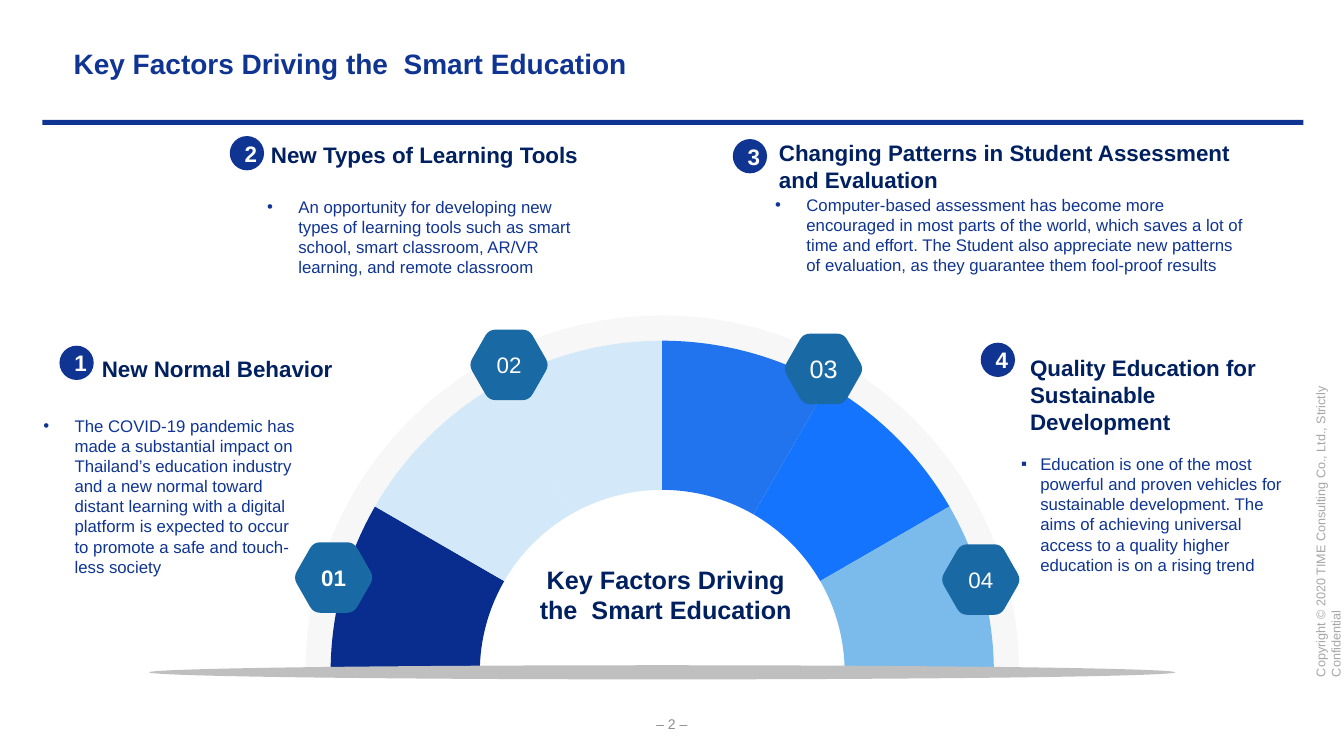
import math
from dataclasses import dataclass

import pptx
import pptx.dml.color
import pptx.enum.shapes
import pptx.enum.text
import pptx.oxml
import pptx.oxml.ns
import pptx.util
from pptx.util import Inches

Box = tuple[float, float, float, float]
Point = tuple[float, float]
Segment = list[Point]  # one point for a line, three for a curve
ALIGN = pptx.enum.text.PP_ALIGN
ANCHOR = pptx.enum.text.MSO_ANCHOR
FIT = pptx.enum.text.MSO_AUTO_SIZE
PRESET = pptx.enum.shapes.MSO_SHAPE
NAMESPACE = pptx.oxml.ns.nsdecls("a")


@dataclass(frozen=True)
class Theme:
    font: str = "Arial"
    blue: str = "0F3492"
    navy: str = "002060"
    marker: str = "1969A5"
    white: str = "FFFFFF"
    track: str = "D9D9D9"
    ground: str = "BFBFBF"
    page: str = "8C8C8C"
    copyright: str = "A6A6A6"
    sectors: tuple[str, ...] = ("082D8E", "D3E8F8", "D3E8F8", "2174EE", "1574FD", "7ABBEB")
    title_size: int = 20
    center_size: int = 18
    heading_size: int = 16
    body_size: int = 12
    page_size: int = 10
    copyright_size: int = 9


@dataclass(frozen=True)
class Factor:
    number: int
    badge: Point
    heading: str
    heading_box: Box
    body: str
    body_box: Box
    marker: Point
    beside_arch: bool = False
    bullet: str = "•"
    indent: float = 0.31
    marker_size: int = 16
    marker_bold: bool = False


THEME = Theme()
ARCH_CENTER: Point = (6.57, 6.67)
BADGE_SIZE = 0.34

FACTORS = [
    Factor(1, (0.59, 3.43), "New Normal Behavior", (1.01, 3.47, 2.83, 0.37),
           "The COVID-19 pandemic has made a substantial impact on Thailand’s education "
           "industry and a new normal toward distant learning with a digital platform is "
           "expected to occur to promote a safe and touch-less society",
           (0.43, 4.07, 2.55, 1.72), (3.31, 5.73), beside_arch=True, marker_bold=True),
    Factor(2, (2.28, 1.35), "New Types of Learning Tools", (2.59, 1.35, 3.3, 0.37),
           "An opportunity for developing new types of learning tools such as smart school, "
           "smart classroom, AR/VR learning, and remote classroom",
           (2.65, 1.9, 3.25, 0.91), (5.05, 3.62)),
    Factor(3, (7.27, 1.38), "Changing Patterns in Student Assessment and Evaluation",
           (7.63, 1.33, 4.83, 0.64),
           "Computer-based assessment has become more encouraged in most parts of the world, "
           "which saves a lot of time and effort. The Student also appreciate new patterns of "
           "evaluation, as they guarantee them fool-proof results",
           (7.69, 1.88, 4.65, 0.91), (8.17, 3.66), marker_size=18),
    Factor(4, (9.73, 3.4), "Quality Education for Sustainable Development",
           (10.22, 3.45, 2.33, 0.91),
           "Education is one of the most powerful and proven vehicles for sustainable "
           "development. The aims of achieving universal access to a quality higher education "
           "is on a rising trend",
           (10.13, 4.45, 2.67, 1.31), (9.73, 5.75), beside_arch=True, bullet="▪", indent=0.19),
]


def write_text(shape, text: str, *, size: int, color: str, bold: bool = False,
               align=ALIGN.LEFT, anchor=ANCHOR.TOP, side_inset: float = 0.1,
               fit=FIT.NONE, bullet: str = "", indent: float = 0) -> None:
    frame = shape.text_frame
    frame.auto_size = fit
    frame.word_wrap = True
    frame.vertical_anchor = anchor
    frame.margin_left = frame.margin_right = Inches(side_inset)
    frame.margin_top = frame.margin_bottom = Inches(0.05)
    paragraph = frame.paragraphs[0]
    paragraph.alignment = align
    paragraph.space_before = pptx.util.Pt(0)
    if bullet:
        properties = paragraph._p.get_or_add_pPr()
        properties.set("marL", str(Inches(indent)))
        properties.set("indent", str(-Inches(indent)))
        for element in (f'<a:buFont {NAMESPACE} typeface="{THEME.font}"/>',
                        f'<a:buChar {NAMESPACE} char="{bullet}"/>'):
            properties.append(pptx.oxml.parse_xml(element))
    run = paragraph.add_run()
    run.text = text
    run.font.name = THEME.font
    run.font.size = pptx.util.Pt(size)
    run.font.bold = bold
    run.font.color.rgb = pptx.dml.color.RGBColor.from_string(color)


def place(shape, box: Box) -> None:
    shape.left, shape.top, shape.width, shape.height = map(Inches, box)


def add_text(slide, box: Box, text: str, **text_format):
    shape = slide.shapes.add_textbox(*map(Inches, box))
    write_text(shape, text, **text_format)
    return shape


def paint(shape, color: str):
    shape.shadow.inherit = False
    shape.fill.solid()
    shape.fill.fore_color.rgb = pptx.dml.color.RGBColor.from_string(color)
    shape.line.fill.background()
    return shape


def add_preset(slide, preset, box: Box, color: str):
    return paint(slide.shapes.add_shape(preset, *map(Inches, box)), color)


def add_outline(slide, start: Point, segments: list[Segment], color: str):
    builder = slide.shapes.build_freeform(*map(Inches, start))
    builder.add_line_segments([(Inches(x), Inches(y)) for segment in segments
                               for x, y in segment], close=True)
    shape = builder.convert_to_shape()
    # Gather each three-point segment into one Bézier curve
    lines = iter(shape._element.findall(".//" + pptx.oxml.ns.qn("a:lnTo")))
    for segment in segments:
        group = [next(lines) for _ in segment]
        if len(group) == 3:
            curve = pptx.oxml.parse_xml(f"<a:cubicBezTo {NAMESPACE}/>")
            group[0].addprevious(curve)
            for line in group:
                curve.append(line[0])
                line.getparent().remove(line)
    return paint(shape, color)


def polar(radius: float, degree: float) -> Point:
    angle = math.radians(degree)
    return (ARCH_CENTER[0] + radius * math.cos(angle),
            ARCH_CENTER[1] - radius * math.sin(angle))


def arc(radius: float, start: float, end: float) -> Segment:
    angle = math.radians(end - start)
    reach = 4 / 3 * math.tan(angle / 4)
    turn = math.degrees(math.atan(reach))
    handle = radius * math.hypot(1, reach)
    return [polar(handle, start + turn), polar(handle, end - turn), polar(radius, end)]


def add_band(slide, outer: float, inner: float, stops: list[int], color: str):
    outward = [arc(outer, a, b) for a, b in zip(stops, stops[1:])]
    back = stops[::-1]
    inward = [arc(inner, a, b) for a, b in zip(back, back[1:])]
    segments = outward + [[polar(inner, stops[-1])]] + inward
    return add_outline(slide, polar(outer, stops[0]), segments, color)


def add_hexagon(slide, center: Point, color: str, cut: float = 0.07):
    vertices = [(0.4, 0), (0.2, 0.35), (-0.2, 0.35), (-0.4, 0), (-0.2, -0.35), (0.2, -0.35)]

    def toward(vertex: Point, neighbour: Point, distance: float) -> Point:
        share = distance / math.dist(vertex, neighbour)
        return tuple(c + v + (n - v) * share for c, v, n in zip(center, vertex, neighbour))

    segments = []
    for index, vertex in enumerate(vertices):
        before, after = vertices[index - 1], vertices[(index + 1) % 6]
        segments += [[toward(vertex, before, cut)],
                     [toward(vertex, before, cut / 3), toward(vertex, after, cut / 3),
                      toward(vertex, after, cut)]]
    return add_outline(slide, segments[0][0], segments[1:], color)


def add_arch(slide) -> None:
    track = add_band(slide, 3.54, 2.25, [180, 90, 0], THEME.track)
    color = track._element.spPr.find(".//" + pptx.oxml.ns.qn("a:srgbClr"))
    color.append(pptx.oxml.parse_xml(f'<a:alpha {NAMESPACE} val="20000"/>'))
    for index, sector_color in enumerate(THEME.sectors):
        start = 180 - 30 * index
        add_band(slide, 3.29, 1.81, [start, start - 30], sector_color)
    add_preset(slide, PRESET.OVAL, (1.48, 6.6, 10.18, 0.14), THEME.ground)
    add_text(slide, (5.14, 5.55, 2.93, 0.71), "Key Factors Driving the  Smart Education",
             size=THEME.center_size, color=THEME.navy, bold=True, align=ALIGN.CENTER,
             fit=FIT.SHAPE_TO_FIT_TEXT)


def add_factor(slide, factor: Factor) -> None:
    body = slide.placeholders[factor.number]
    place(body, factor.body_box)
    write_text(body, factor.body, size=THEME.body_size, color=THEME.blue, side_inset=0,
               fit=FIT.SHAPE_TO_FIT_TEXT, bullet=factor.bullet, indent=factor.indent)
    add_text(slide, factor.heading_box, factor.heading, size=THEME.heading_size,
             color=THEME.navy, bold=True, fit=FIT.SHAPE_TO_FIT_TEXT,
             side_inset=0 if factor.beside_arch else 0.1,
             anchor=ANCHOR.BOTTOM if factor.beside_arch else ANCHOR.TOP)
    badge = add_preset(slide, PRESET.OVAL, (*factor.badge, BADGE_SIZE, BADGE_SIZE), THEME.blue)
    centered = dict(color=THEME.white, align=ALIGN.CENTER, anchor=ANCHOR.MIDDLE)
    write_text(badge, str(factor.number), size=THEME.heading_size, bold=True, **centered)
    marker = add_hexagon(slide, factor.marker, THEME.marker)
    write_text(marker, f"{factor.number:02}", size=factor.marker_size,
               bold=factor.marker_bold, side_inset=0.04, **centered)


def main() -> None:
    presentation = pptx.Presentation()
    presentation.slide_width, presentation.slide_height = Inches(40 / 3), Inches(7.5)
    # The Comparison layout offers a title and four body placeholders
    slide = presentation.slides.add_slide(presentation.slide_layouts[4])

    # Title, rule and page furniture
    place(slide.shapes.title, (0.63, 0.41, 10.94, 0.44))
    write_text(slide.shapes.title, "Key Factors Driving the  Smart Education",
               size=THEME.title_size, color=THEME.blue, bold=True, fit=FIT.SHAPE_TO_FIT_TEXT)
    add_preset(slide, PRESET.RECTANGLE, (0.42, 1.19, 12.51, 0.05), THEME.blue)
    add_text(slide, (6.17, 7.08, 0.99, 0.21), "– 2 –", size=THEME.page_size,
             color=THEME.page, align=ALIGN.CENTER, anchor=ANCHOR.MIDDLE)
    copyright_line = add_text(
        slide, (11.34, 4.93, 3.52, 0.25),
        "Copyright © 2020 TIME Consulting Co., Ltd., Strictly Confidential",
        size=THEME.copyright_size, color=THEME.copyright)
    copyright_line.rotation = 270

    # Arch and its four factors
    add_arch(slide)
    for factor in FACTORS:
        add_factor(slide, factor)
    presentation.save("out.pptx")


if __name__ == "__main__":
    main()
